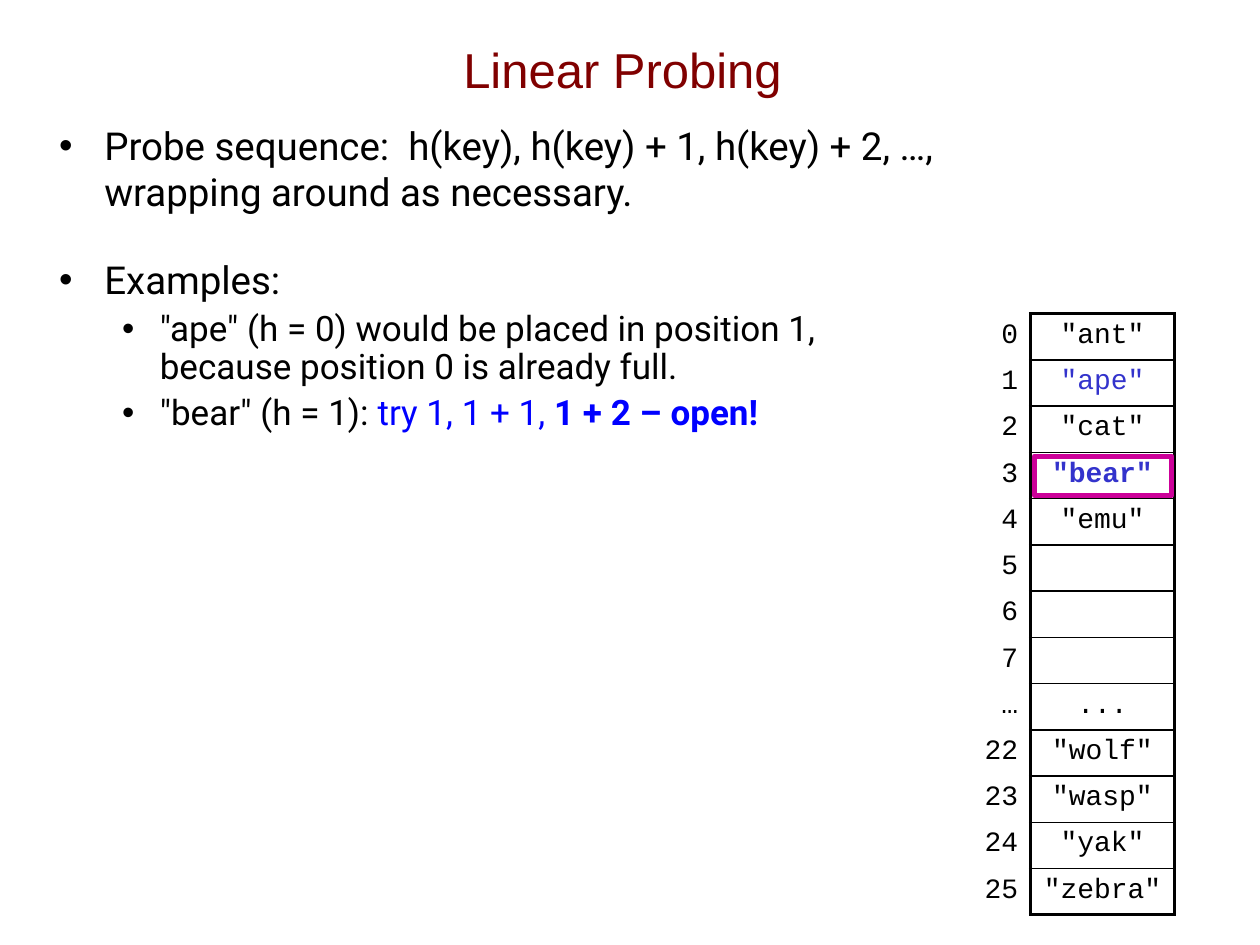
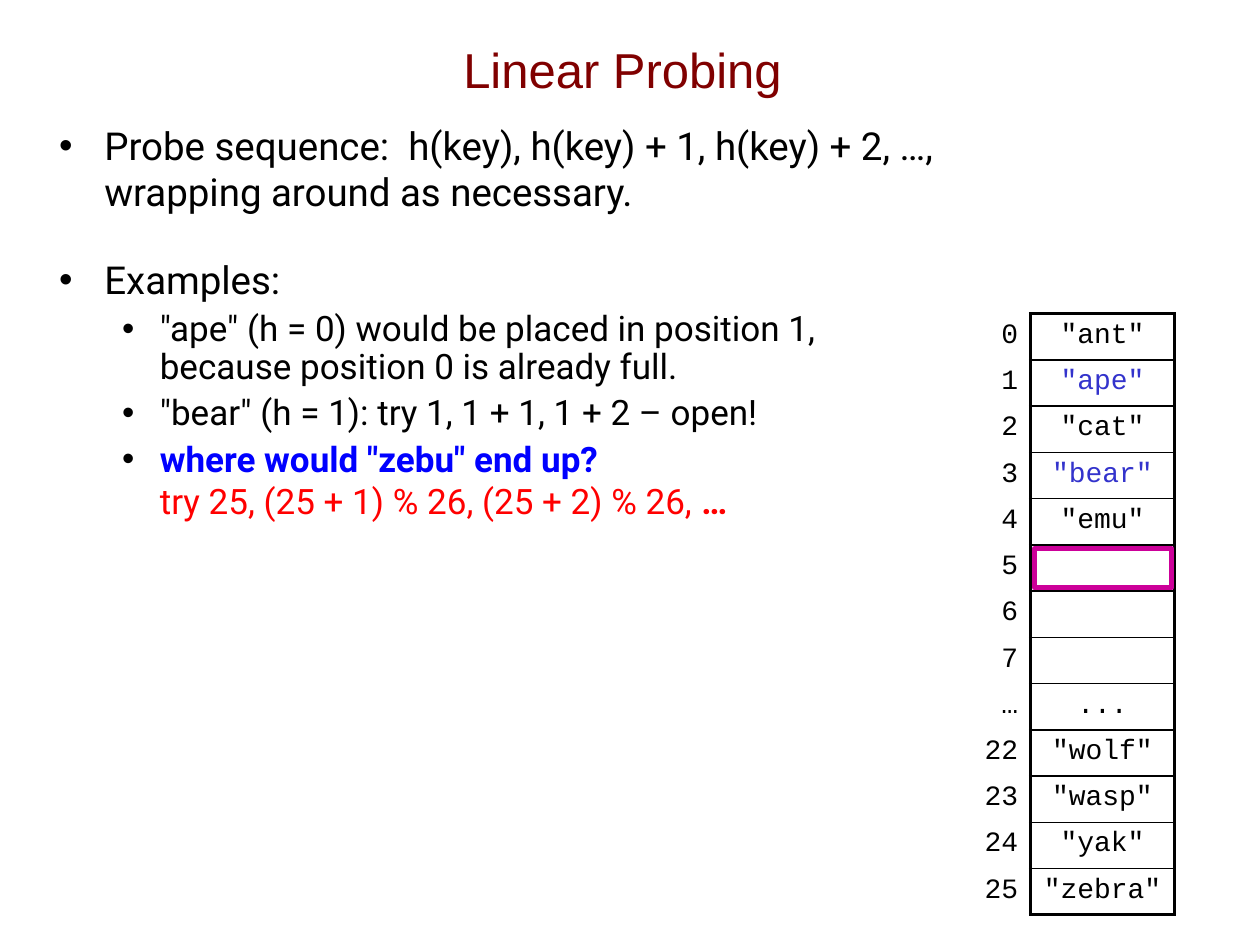
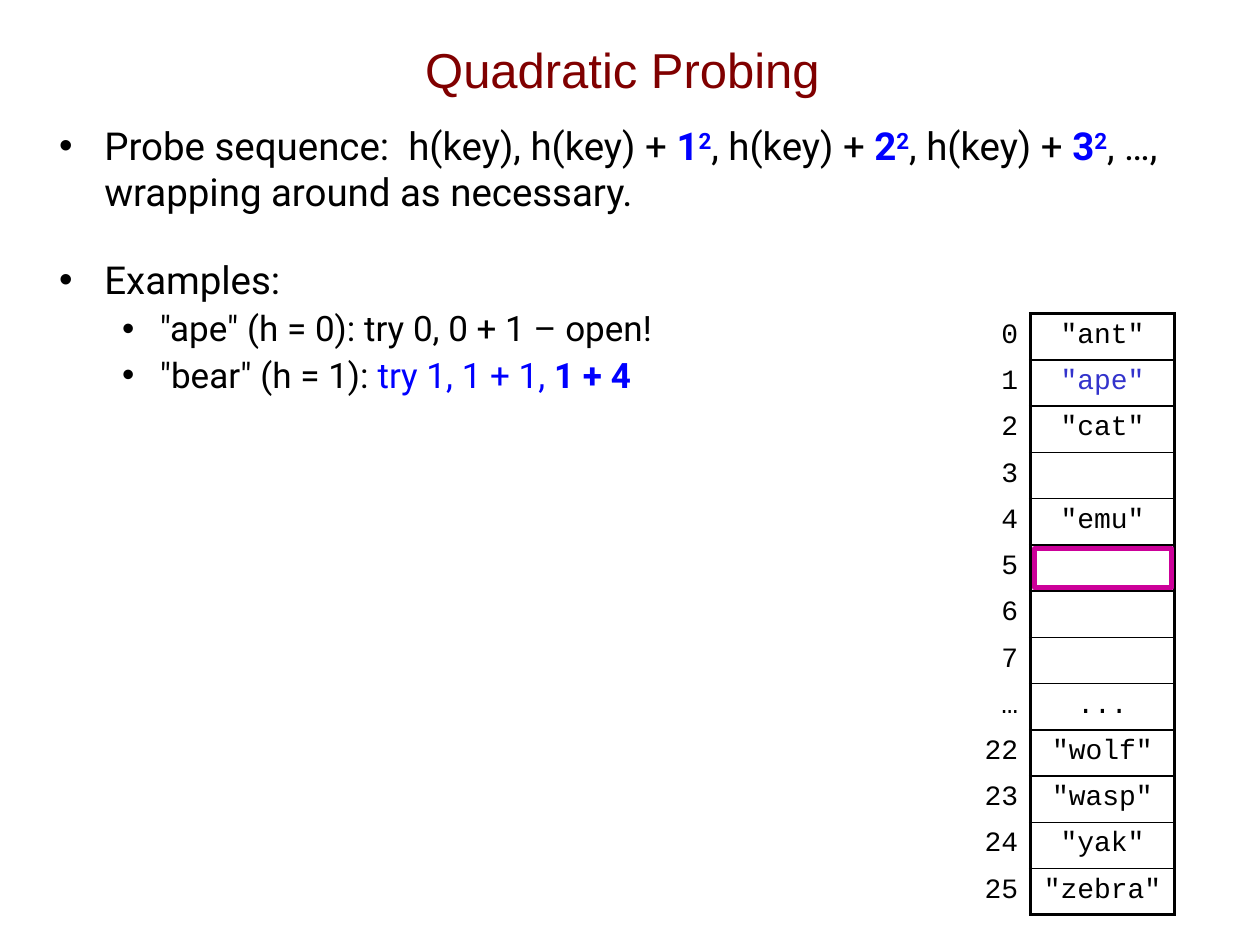
"""Build three slides on linear and quadratic probing in a hash table."""
from lxml.etree import SubElement
from pptx import Presentation
from pptx.dml.color import RGBColor
from pptx.enum.shapes import MSO_SHAPE
from pptx.enum.text import MSO_ANCHOR, PP_ALIGN
from pptx.oxml.ns import qn
from pptx.util import Inches, Pt

BLACK, MAROON, BLUE, RED = "000000", "800000", "0000FF", "FF0000"
ENTRY_BLUE, MAGENTA = "3333CC", "CC0099"
NO_STYLE_NO_GRID = "{2D5ABB26-0587-4C30-8999-92F81FD0307C}"

RUN_STYLES = {
    "plain": {"color": BLACK},
    "blue": {"color": BLUE},
    "strong": {"color": BLUE, "bold": True},
    "power": {"color": BLUE, "bold": True, "baseline": 30000},
    "red": {"color": RED},
    "red strong": {"color": RED, "bold": True},
}
BULLET_STYLES = {
    "first": {"size": 22, "margin": 0.36, "hang": 0.36, "format": {"space_before": Pt(14)}},
    "main": {"size": 22, "margin": 0.36, "hang": 0.36, "format": {"space_before": Pt(24)}},
    "sub": {"size": 20, "margin": 0.8, "hang": 0.3,
            "format": {"level": 1, "space_before": Pt(5), "line_spacing": 0.9}},
    "question": {"size": 20, "margin": 0.8, "hang": 0.3,
                 "format": {"level": 1, "space_before": Pt(2)}},
}

LINEAR_SEQUENCE = ("first", [
    ("Probe sequence:  h(key), h(key) + 1, h(key) + 2, …, \nwrapping around as necessary.", "plain")])
QUADRATIC_SEQUENCE = ("first", [
    ("Probe sequence:  h(key), h(key) + ", "plain"), ("1", "strong"), ("2", "power"),
    (", h(key) + ", "plain"), ("2", "strong"), ("2", "power"),
    (", h(key) + ", "plain"), ("3", "strong"), ("2", "power"),
    (", …,\nwrapping around as necessary.", "plain")])
EXAMPLES = ("main", [("Examples:", "plain")])
LINEAR_APE = ("sub", [
    ('"ape" (h = 0) would be placed in position 1, \nbecause position 0 is already full.', "plain")])
BEAR_TRIES = [('"bear" (h = 1): ', "plain"), ("try 1, 1 + 1, ", "blue")]

POSITIONS = ["0", "1", "2", "3", "4", "5", "6", "7", "…", "22", "23", "24", "25"]
FIXED_ENTRIES = {"0": '"ant"', "2": '"cat"', "4": '"emu"', "…": "...", "22": '"wolf"',
                 "23": '"wasp"', "24": '"yak"', "25": '"zebra"'}
SLIDES = [
    {"title": "Linear Probing", "body_width": 9.25,
     "bullets": [LINEAR_SEQUENCE, EXAMPLES, LINEAR_APE,
                 ("sub", BEAR_TRIES + [("1 + 2 – open!", "strong")])],
     "added": {"1": '"ape"', "3": '"bear"'}, "bold": "3", "probed": "3"},
    {"title": "Linear Probing", "body_width": 9.25,
     "bullets": [LINEAR_SEQUENCE, EXAMPLES, LINEAR_APE,
                 ("sub", [('"bear" (h = 1): try 1, 1 + 1, 1 + 2 – open!', "plain")]),
                 ("question", [('where would "zebu" end up? \n', "strong"),
                               ("try 25, (25 + 1) % 26, (25 + 2) % 26, ", "red"),
                               ("…", "red strong")])],
     "added": {"1": '"ape"', "3": '"bear"'}, "bold": None, "probed": "5"},
    {"title": "Quadratic Probing", "body_width": 9.51,
     "bullets": [QUADRATIC_SEQUENCE, EXAMPLES,
                 ("sub", [('"ape" (h = 0): try 0, 0 + 1 – open!', "plain")]),
                 ("sub", BEAR_TRIES + [("1 + 4", "strong")])],
     "added": {"1": '"ape"'}, "bold": None, "probed": "5"},
]

TABLE_LEFT, TABLE_TOP, TABLE_HEIGHT = 7.03, 2.49, 4.77
COLUMN_WIDTHS = (1.15, 1.14)
ROW_HEIGHT = TABLE_HEIGHT / len(POSITIONS)
PROBE_INSET = 0.03


def rgb(color):
    return RGBColor.from_string(color)


def add_run(paragraph, text, font, size, color=BLACK, bold=False, baseline=None):
    run = paragraph.add_run()
    run.text = text
    for name, value in {"name": font, "size": Pt(size), "bold": bold}.items():
        setattr(run.font, name, value)
    run.font.color.rgb = rgb(color)
    if baseline:
        run.font._element.set("baseline", str(baseline))


def add_text_frame(slide, left, top, width, height):
    box = slide.shapes.add_textbox(*map(Inches, (left, top, width, height)))
    box.text_frame.word_wrap = True
    return box.text_frame


def add_title(slide, title):
    frame = add_text_frame(slide, 0.64, 0.08, 8.6, 0.93)
    frame.vertical_anchor = MSO_ANCHOR.MIDDLE
    frame.paragraphs[0].alignment = PP_ALIGN.CENTER
    add_run(frame.paragraphs[0], title, "Arial", 28, MAROON)


def add_bullet(paragraph, style, pieces):
    for name, value in style["format"].items():
        setattr(paragraph, name, value)
    properties = paragraph._p.get_or_add_pPr()
    properties.set("marL", str(Inches(style["margin"])))
    properties.set("indent", str(-Inches(style["hang"])))
    SubElement(SubElement(properties, qn("a:buClr")), qn("a:srgbClr"), val=BLACK)
    SubElement(properties, qn("a:buFont"), typeface="Arial")
    SubElement(properties, qn("a:buChar"), char="•")
    for text, run_style in pieces:
        for index, line in enumerate(text.split("\n")):
            if index:
                paragraph.add_line_break()
            if line:
                add_run(paragraph, line, "Roboto", style["size"], **RUN_STYLES[run_style])


def add_body(slide, bullets, width):
    frame = add_text_frame(slide, 0.37, 0.92, width, 6.14)
    for index, (style, pieces) in enumerate(bullets):
        paragraph = frame.add_paragraph() if index else frame.paragraphs[0]
        add_bullet(paragraph, BULLET_STYLES[style], pieces)


def set_borders(cell, borders):
    properties = cell._tc.get_or_add_tcPr()
    for side in "LRTB":
        if side in borders:
            line = SubElement(properties, qn(f"a:ln{side}"), w=str(Pt(borders[side])))
            SubElement(SubElement(line, qn("a:solidFill")), qn("a:srgbClr"), val=BLACK)


def fill_cell(cell, text, alignment, borders, color=BLACK, bold=False):
    set_borders(cell, borders)
    cell.fill.background()
    paragraph = cell.text_frame.paragraphs[0]
    paragraph.alignment = alignment
    paragraph.space_before = Pt(14.2)
    if text:
        add_run(paragraph, text, "Courier New", 16, color, bold)
    else:
        SubElement(paragraph._p, qn("a:endParaRPr"), sz="1600")


def add_hash_table(slide, added, bold):
    table = slide.shapes.add_table(
        len(POSITIONS), 2, Inches(TABLE_LEFT), Inches(TABLE_TOP),
        Inches(sum(COLUMN_WIDTHS)), Inches(TABLE_HEIGHT)).table
    table.first_row = table.horz_banding = False
    table._tbl.tblPr.find(qn("a:tableStyleId")).text = NO_STYLE_NO_GRID
    for column, width in zip(table.columns, COLUMN_WIDTHS):
        column.width = Inches(width)
    entries = FIXED_ENTRIES | added
    for index, position in enumerate(POSITIONS):
        table.rows[index].height = Inches(ROW_HEIGHT)
        borders = {"L": 2.25, "R": 2.25, "T": 1 if index else 2.25,
                   "B": 2.25 if position == POSITIONS[-1] else 1}
        fill_cell(table.cell(index, 0), position, PP_ALIGN.RIGHT, {"R": 2.25})
        fill_cell(table.cell(index, 1), entries.get(position), PP_ALIGN.CENTER, borders,
                  ENTRY_BLUE if position in added else BLACK, position == bold)


def add_probe_frame(slide, position):
    left = TABLE_LEFT + COLUMN_WIDTHS[0] + PROBE_INSET
    top = TABLE_TOP + POSITIONS.index(position) * ROW_HEIGHT + PROBE_INSET
    frame = slide.shapes.add_shape(
        MSO_SHAPE.RECTANGLE, Inches(left), Inches(top), Inches(1.09), Inches(0.31))
    frame.shadow.inherit = False
    frame.fill.background()
    frame.line.color.rgb = rgb(MAGENTA)
    frame.line.width = Pt(3)


def main():
    deck = Presentation()
    deck.slide_width, deck.slide_height = Inches(10), Inches(7.5)
    for content in SLIDES:
        slide = deck.slides.add_slide(deck.slide_layouts[6])
        add_title(slide, content["title"])
        add_body(slide, content["bullets"], content["body_width"])
        add_hash_table(slide, content["added"], content["bold"])
        add_probe_frame(slide, content["probed"])
    deck.save("out.pptx")


if __name__ == "__main__":
    main()
